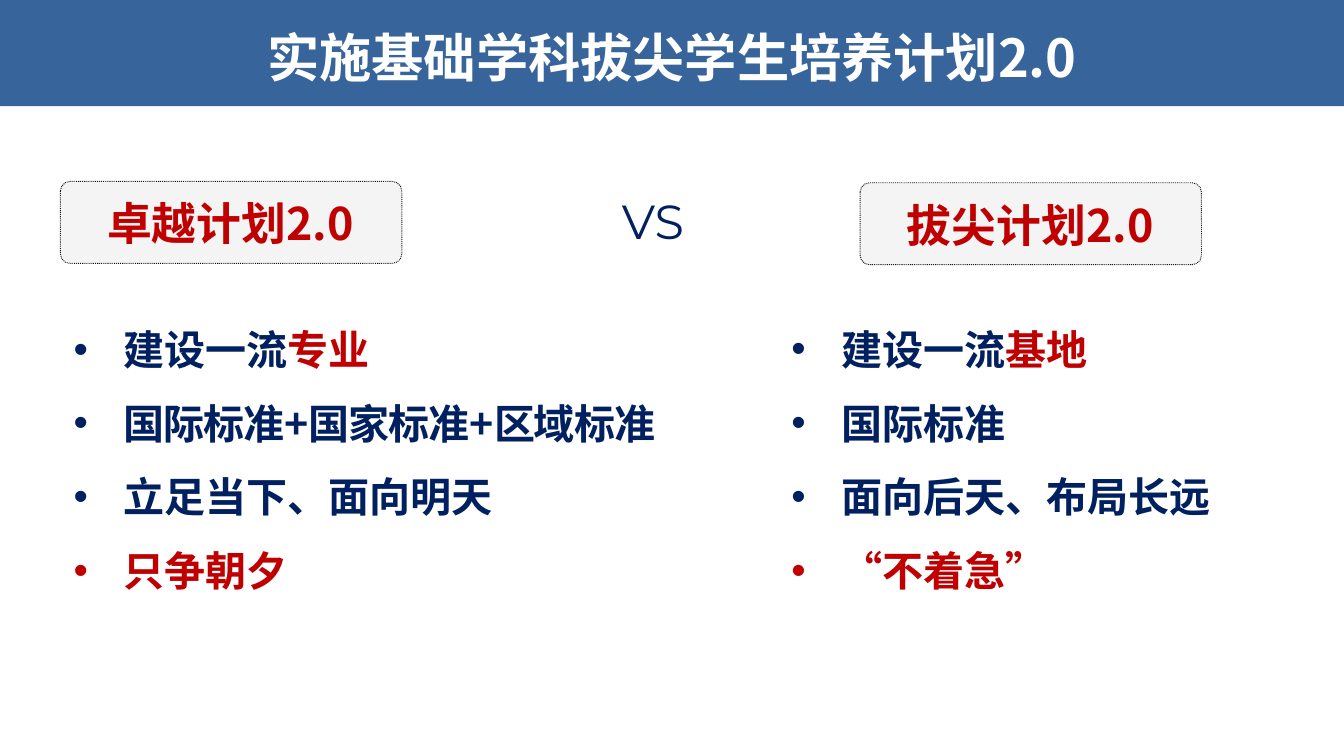
from dataclasses import dataclass

from lxml.etree import SubElement
from pptx import Presentation
from pptx.dml.color import RGBColor
from pptx.enum.dml import MSO_LINE
from pptx.enum.shapes import MSO_SHAPE
from pptx.enum.text import MSO_ANCHOR, PP_ALIGN
from pptx.oxml.ns import qn
from pptx.util import Inches, Pt

BLUE = RGBColor(0x37, 0x64, 0x9B)
NAVY = RGBColor(0x00, 0x20, 0x60)
RED = RGBColor(0xC0, 0x00, 0x00)
GREY = RGBColor(0x4D, 0x4D, 0x4D)
BLACK = RGBColor(0x1C, 0x1C, 0x1C)
WHITE = RGBColor(0xFF, 0xFF, 0xFF)

LEFT_POINTS = [
    [("建设一流", NAVY), ("专业", RED)],
    [("国际标准+国家标准+区域标准", NAVY)],
    [("立足当下、面向明天", NAVY)],
    [("只争朝夕", RED)],
]
RIGHT_POINTS = [
    [("建设一流", NAVY), ("基地", RED)],
    [("国际标准", NAVY)],
    [("面向后天、布局长远", NAVY)],
    [("“不着急”", RED)],
]


@dataclass
class Comparison:
    """Draws the parts of a two-column comparison on one page."""

    page: object
    font: str = "Noto Sans CJK SC"

    def style(self, span, size, color, bold=True, font=None):
        name = font or self.font
        span.font.size = Pt(size)
        span.font.bold = bold
        span.font.color.rgb = color
        span.font.name = name
        SubElement(span.font._element, qn("a:ea")).set("typeface", name)

    def shape(self, kind, left, top, width, height, fill):
        shape = self.page.shapes.add_shape(
            kind, Inches(left), Inches(top), Inches(width), Inches(height))
        shape.shadow.inherit = False
        shape.fill.solid()
        shape.fill.fore_color.rgb = fill
        shape.line.fill.background()
        return shape

    def frame(self, left, top, width, height):
        box = self.page.shapes.add_textbox(
            Inches(left), Inches(top), Inches(width), Inches(height))
        box.text_frame.word_wrap = True
        return box.text_frame

    def label(self, text, left, top, width, height, size, color,
              align=PP_ALIGN.CENTER, anchor=MSO_ANCHOR.TOP, **look):
        frame = self.frame(left, top, width, height)
        frame.text = text
        frame.vertical_anchor = anchor
        para = frame.paragraphs[0]
        para.alignment = align
        self.style(para.runs[0], size, color, **look)
        return para.runs[0]

    def heading(self, text, left, top):
        panel = self.shape(MSO_SHAPE.ROUNDED_RECTANGLE, left, top, 2.54, 0.61, GREY)
        panel.adjustments[0] = 0.115
        tint = panel.fill._xPr.find(".//" + qn("a:srgbClr"))
        SubElement(tint, qn("a:alpha")).set("val", "6000")
        panel.line.color.rgb = BLACK
        panel.line.width = Pt(0.5)
        panel.line.dash_style = MSO_LINE.ROUND_DOT
        self.label(text, left + 0.02, top + 0.06, 2.49, 0.5, 24, RED)

    def bullets(self, points, left, top, width, height):
        frame = self.frame(left, top, width, height)
        for index, point in enumerate(points):
            para = frame.add_paragraph() if index else frame.paragraphs[0]
            para.line_spacing = 1.5
            layout = para._p.get_or_add_pPr()
            layout.set("marL", str(Inches(0.37)))
            layout.set("indent", str(-Inches(0.37)))
            SubElement(layout, qn("a:buFont")).set("typeface", "Arial")
            SubElement(layout, qn("a:buChar")).set("char", "•")
            for text, color in point:
                span = para.add_run()
                span.text = text
                self.style(span, 22, color)
                if "+" in text:
                    span.font._element.set("spc", "-50")


def main():
    deck = Presentation()
    deck.slide_width = Inches(10)
    deck.slide_height = deck.slide_width * 9 // 16
    slide = Comparison(deck.slides.add_slide(deck.slide_layouts[6]))

    slide.shape(MSO_SHAPE.RECTANGLE, 0, 0, 10, 0.79, BLUE)
    slide.label("实施基础学科拔尖学生培养计划2.0", 0, -0.01, 10, 0.87, 28, WHITE,
                anchor=MSO_ANCHOR.MIDDLE)
    slide.bullets(RIGHT_POINTS, 5.79, 2.18, 3.78, 2.6)
    slide.bullets(LEFT_POINTS, 0.45, 2.18, 4.63, 2.28)
    slide.heading("拔尖计划2.0", 6.4, 1.36)
    slide.heading("卓越计划2.0", 0.45, 1.35)
    versus = slide.label("vs", 4.53, 1.29, 0.87, 0.64, 32, NAVY,
                         align=PP_ALIGN.LEFT, bold=None, font="Montserrat")
    versus.font._element.set("cap", "small")
    deck.save("out.pptx")


if __name__ == "__main__":
    main()
